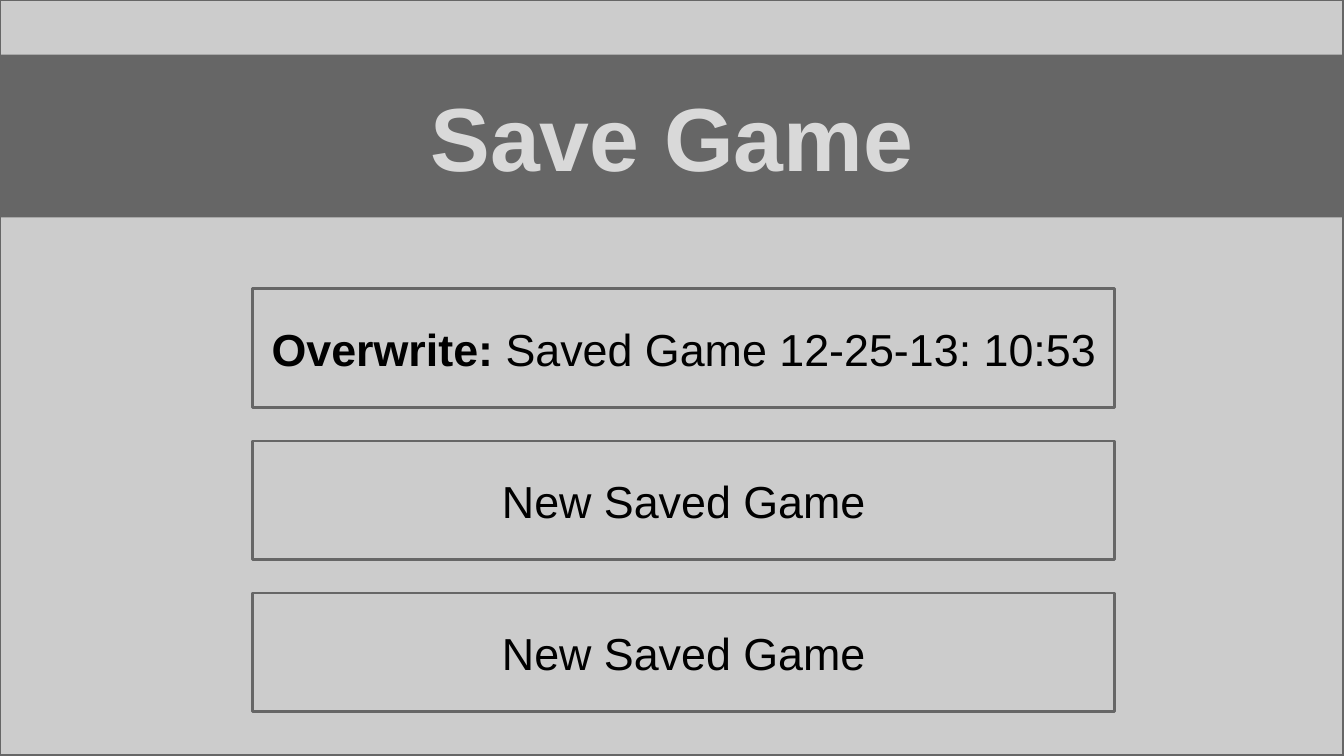
from pptx import Presentation
from pptx.dml.color import RGBColor
from pptx.enum.shapes import MSO_SHAPE
from pptx.enum.text import MSO_ANCHOR, PP_ALIGN
from pptx.util import Inches, Pt

COLS, ROWS = 16, 9
UNIT = Inches(10) // COLS
HEX = {"panel": "CCCCCC", "dark": "666666", "title": "D9D9D9", "text": "000000"}
FRAME = {
    "word_wrap": True,
    "vertical_anchor": MSO_ANCHOR.MIDDLE,
    "margin_left": Inches(0.1),
    "margin_right": Inches(0.1),
    "margin_top": Inches(0.1),
    "margin_bottom": Inches(0.1),
}
SLOTS = [
    [("Overwrite:", True), (" Saved Game 12-25-13: 10:53", False)],
    [("New Saved Game", False)],
    [("New Saved Game", False)],
]


def tint(name):
    return RGBColor.from_string(HEX[name])


def apply(target, values):
    for name, value in values.items():
        setattr(target, name, value)


def add_box(slide, box, fill, line=None):
    place = [round(part * UNIT) for part in box]
    shape = slide.shapes.add_shape(MSO_SHAPE.RECTANGLE, *place)
    shape.shadow.inherit = False
    shape.fill.solid()
    shape.fill.fore_color.rgb = tint(fill)
    if line:
        shape.line.color.rgb = tint(line)
        shape.line.width = Pt(1.5)
    else:
        shape.line.fill.background()
    return shape


def add_text(shape, parts, size, color):
    frame = shape.text_frame
    apply(frame, FRAME)
    para = frame.paragraphs[0]
    para.alignment = PP_ALIGN.CENTER
    for text, bold in parts:
        run = para.add_run()
        run.text = text
        apply(run.font, {"name": "Arial", "size": Pt(size), "bold": bold})
        run.font.color.rgb = tint(color)


def add_banner(slide, box):
    banner = add_box(slide, box, "dark")
    add_text(banner, [("Save Game", True)], 48, "title")


def add_menu(slide, box, gap=0.4):
    left, top, width, height = box
    step = (height + gap) / len(SLOTS)
    for row, parts in reversed(list(enumerate(SLOTS))):
        place = (left, top + row * step, width, step - gap)
        slot = add_box(slide, place, "panel", "dark")
        add_text(slot, parts, 24, "text")


def main():
    deck = Presentation()
    apply(deck, {"slide_width": COLS * UNIT, "slide_height": ROWS * UNIT})
    slide = deck.slides.add_slide(deck.slide_layouts[6])
    add_box(slide, (0, 0, COLS, ROWS), "panel", "dark")
    add_menu(slide, (3.01, 3.44, 10.26, 5.03))
    add_banner(slide, (0, 0.65, COLS, 1.94))
    deck.save("out.pptx")


if __name__ == "__main__":
    main()
